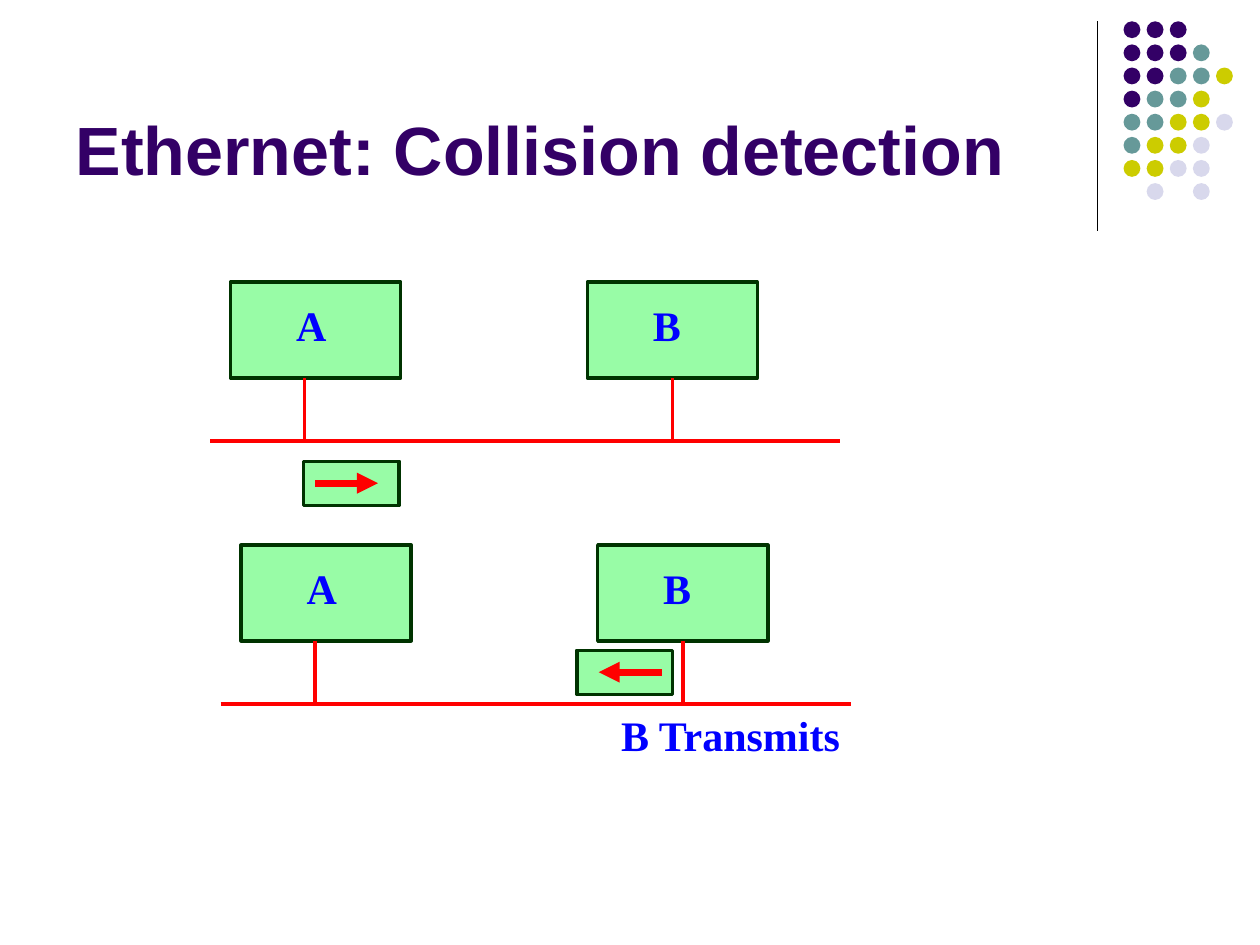
import dataclasses

import pptx
import pptx.dml.color
import pptx.enum.shapes
import pptx.enum.text
import pptx.oxml.ns
import pptx.util
from lxml import etree

Cm = pptx.util.Cm
Pt = pptx.util.Pt
Shape = pptx.enum.shapes.MSO_SHAPE
Anchor = pptx.enum.text.MSO_ANCHOR
BOTTOM_SIDE = 2


@dataclasses.dataclass(frozen=True)
class Theme:
    title: str = "330066"
    teal: str = "669999"
    olive: str = "CCCC00"
    lilac: str = "D8D8EC"
    rule: str = "000000"
    box_fill: str = "98FCA6"
    box_line: str = "003300"
    wire: str = "FF0000"
    label: str = "0000FF"
    title_size: int = 39
    label_size: int = 24
    title_font: str = "Arial"
    label_font: str = "Times New Roman"


THEME = Theme()
DOT_ROWS = ("PPP", "PPPT", "PPTTO", "PTTO", "TTOOL", "TOOL", "OOLL", " L L")
DOT_COLORS = {"P": THEME.title, "T": THEME.teal, "O": THEME.olive, "L": THEME.lilac}


def rgb(color):
    return pptx.dml.color.RGBColor.from_string(color)


def write_text(box, text, anchor, font_values, color):
    frame = box.text_frame
    frame_values = {
        "word_wrap": True,
        "auto_size": pptx.enum.text.MSO_AUTO_SIZE.NONE,
        "vertical_anchor": anchor,
    }
    for name, value in frame_values.items():
        setattr(frame, name, value)
    para = frame.paragraphs[0]
    para.alignment = pptx.enum.text.PP_ALIGN.LEFT
    span = para.add_run()
    span.text = text
    for name, value in font_values.items():
        setattr(span.font, name, value)
    span.font.color.rgb = rgb(color)


def place_title(page, text):
    box = page.shapes.title
    place = {"left": Cm(1.27), "top": Cm(0.33), "width": Cm(20.96), "height": Cm(3.61)}
    for name, value in place.items():
        setattr(box, name, value)
    font_values = {"name": THEME.title_font, "size": Pt(THEME.title_size), "bold": True}
    write_text(box, text, Anchor.BOTTOM, font_values, THEME.title)


def add_label(page, text, left, top, width=1.91):
    box = page.shapes.add_textbox(Cm(left), Cm(top), Cm(width), Cm(1.27))
    font_values = {"name": THEME.label_font, "size": Pt(THEME.label_size), "bold": True}
    write_text(box, text, Anchor.TOP, font_values, THEME.label)


def add_filled(page, kind, left, top, width, height, fill, line=None):
    shape = page.shapes.add_shape(kind, Cm(left), Cm(top), Cm(width), Cm(height))
    shape.shadow.inherit = False
    shape.fill.solid()
    shape.fill.fore_color.rgb = rgb(fill)
    if line:
        shape.line.color.rgb = rgb(line)
        shape.line.width = Pt(2)
    else:
        shape.line.fill.background()
    return shape


def add_box(page, left, top, width, height):
    return add_filled(page, Shape.RECTANGLE, left, top, width, height,
                      THEME.box_fill, THEME.box_line)


def add_line(page, start, end, color=THEME.wire, weight=2, arrow_end=None):
    points = [Cm(value) for value in (*start, *end)]
    line = page.shapes.add_connector(pptx.enum.shapes.MSO_CONNECTOR.STRAIGHT, *points)
    line.line.color.rgb = rgb(color)
    line.line.width = Pt(weight)
    qn = pptx.oxml.ns.qn
    properties = line._element.spPr
    etree.SubElement(properties, qn("a:effectLst"))
    if arrow_end:
        outline = properties.find(qn("a:ln"))
        etree.SubElement(outline, qn(f"a:{arrow_end}"), type="triangle")
    return line


def add_dots(page):
    pitch = 0.466
    for row, colors in enumerate(DOT_ROWS):
        for column, key in enumerate(colors):
            if key in DOT_COLORS:
                add_filled(page, Shape.OVAL, 22.65 + column * pitch, 0.43 + row * pitch,
                           0.34, 0.34, DOT_COLORS[key])


def add_network(page, left, top):
    station_width, station_height = 3.43, 1.93
    b_left = left + 7.19
    bus_y = top + 3.2
    add_box(page, left, top, station_width, station_height)
    station_b = add_box(page, b_left, top, station_width, station_height)
    a_drop_x = left + 1.49
    add_line(page, (a_drop_x, top + station_height), (a_drop_x, bus_y))
    b_drop_x = b_left + station_width / 2
    b_drop = add_line(page, (b_drop_x, top + station_height), (b_drop_x, bus_y))
    b_drop.begin_connect(station_b, BOTTOM_SIDE)
    add_line(page, (left - 0.41, bus_y), (left + 12.29, bus_y))
    add_label(page, "A", left + 1.07, top + 0.23)
    add_label(page, "B", left + 8.26, top + 0.23)


def add_packet(page, left, top, arrow_left, arrow_end):
    add_box(page, left, top, 1.93, 0.89)
    arrow_y = top + 0.44
    add_line(page, (arrow_left, arrow_y), (arrow_left + 1.27, arrow_y),
             weight=4, arrow_end=arrow_end)


def main():
    deck = pptx.Presentation()
    deck.slide_width, deck.slide_height = Cm(25.4), Cm(19.05)
    page = deck.slides.add_slide(deck.slide_layouts[5])
    add_line(page, (22.12, 0.43), (22.12, 4.65), THEME.rule, 0.75)
    add_dots(page)
    place_title(page, "Ethernet: Collision detection")
    add_network(page, 4.65, 5.69)
    add_packet(page, 6.12, 9.3, 6.35, "tailEnd")
    add_network(page, 4.86, 10.99)
    add_packet(page, 11.63, 13.11, 12.07, "headEnd")
    add_label(page, "B Transmits", 12.27, 14.17, 6.15)
    deck.save("out.pptx")


if __name__ == "__main__":
    main()
